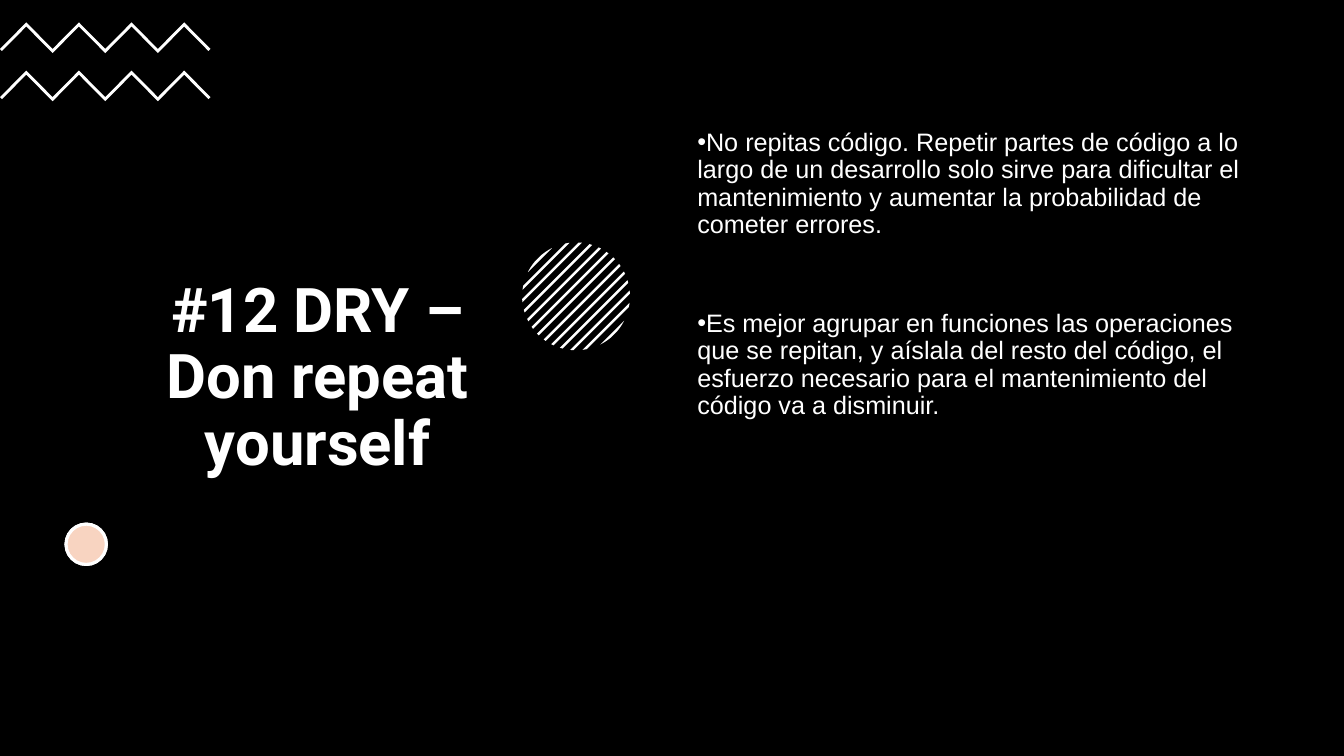
import math

import pptx
import pptx.dml.color
import pptx.enum.shapes
import pptx.enum.text
import pptx.oxml
import pptx.oxml.ns
import pptx.util

Pt = pptx.util.Pt
ALIGN = pptx.enum.text.PP_ALIGN
ANCHOR = pptx.enum.text.MSO_ANCHOR
SHAPE = pptx.enum.shapes.MSO_SHAPE
COLORS = {"background": "000000", "light": "FFFFFF", "accent": "E97132"}
SLIDE_W, SLIDE_H = 960, 540

TITLE = "#12 DRY – Don repeat yourself"
POINTS = [
    "No repitas código. Repetir partes de código a lo largo de un desarrollo "
    "solo sirve para dificultar el mantenimiento y aumentar la probabilidad "
    "de cometer errores.",
    "Es mejor agrupar en funciones las operaciones que se repitan, y aíslala "
    "del resto del código, el esfuerzo necesario para el mantenimiento del "
    "código va a disminuir.",
]


def rgb(name):
    return pptx.dml.color.RGBColor.from_string(COLORS[name])


def xml_child(parent, tag, **attrs):
    el = pptx.oxml.ns.qn(tag)
    child = parent.makeelement(el, attrs)
    parent.append(child)
    return child


def paint(sp, fill, line=None, alpha=None):
    sp.shadow.inherit = False
    sp.fill.solid()
    sp.fill.fore_color.rgb = rgb(fill)
    if alpha is not None:
        clr = sp.fill._xPr.find(".//" + pptx.oxml.ns.qn("a:srgbClr"))
        xml_child(clr, "a:alpha", val=str(alpha * 1000))
    if line:
        sp.line.color.rgb = rgb(line)
        sp.line.width = Pt(2.25)
    else:
        sp.line.fill.background()


def add_preset(shapes, kind, box, fill, **style):
    sp = shapes.add_shape(kind, *map(Pt, box))
    paint(sp, fill, **style)


def add_outline(shapes, points, fill):
    pts = [(Pt(x), Pt(y)) for x, y in points]
    builder = shapes.build_freeform(*pts[0], scale=1.0)
    builder.add_line_segments(pts[1:], close=True)
    paint(builder.convert_to_shape(), fill)


def add_text(shapes, box, paragraphs, *, font, size, bold=False,
             align=ALIGN.LEFT, anchor=ANCHOR.TOP, gap=0, bullet=None):
    tf = shapes.add_textbox(*map(Pt, box)).text_frame
    tf.word_wrap = True
    tf.vertical_anchor = anchor
    for i, text in enumerate(paragraphs):
        p = tf.paragraphs[0] if i == 0 else tf.add_paragraph()
        p.alignment = align
        p.line_spacing = 0.9
        p.space_before = Pt(gap if i else 0)
        if bullet:
            pPr = p._p.get_or_add_pPr()
            pPr.set("marL", "0")
            pPr.set("indent", "0")
            clr = xml_child(pPr, "a:buClr")
            xml_child(clr, "a:srgbClr", val=COLORS["light"])
            xml_child(pPr, "a:buFont", typeface="Arial")
            xml_child(pPr, "a:buChar", char=bullet)
        r = p.add_run()
        r.text = text
        r.font.name = font
        r.font.size = Pt(size)
        r.font.bold = bold
        r.font.color.rgb = rgb("light")


def add_zigzag(shapes, top, step=18.8, height=19, thickness=2.9, segments=8):
    upper = [(i * step, top + height * (i % 2 == 0))
             for i in range(segments + 1)]
    lower = [(x, y + thickness) for x, y in upper[1:-1]]
    # The two ends are cut square to the stroke
    cut = thickness / 2
    end_y = top + height + cut
    lower = [(cut, end_y)] + lower + [(segments * step - cut, end_y)]
    add_outline(shapes, upper + lower[::-1], "light")


def add_striped_circle(shapes, cx, cy, radius=38.5, pitch=6.24, width=1.78,
                       stripes=13, arc_steps=8):
    def on_circle(angle):
        a = math.pi / 4 + angle
        return cx + radius * math.cos(a), cy + radius * math.sin(a)

    for i in range(stripes):
        middle = (i - stripes // 2) * pitch
        start, end = (math.acos((middle + side * width / 2) / radius)
                      for side in (-1, 1))
        arc = [start + (end - start) * k / arc_steps
               for k in range(arc_steps + 1)]
        outline = [on_circle(a) for a in arc]
        outline += [on_circle(-a) for a in reversed(arc)]
        add_outline(shapes, outline, "light")


def main():
    prs = pptx.Presentation()
    prs.slide_width, prs.slide_height = Pt(SLIDE_W), Pt(SLIDE_H)
    shapes = prs.slides.add_slide(prs.slide_layouts[6]).shapes

    # Background and title
    add_preset(shapes, SHAPE.RECTANGLE, (0, 0, SLIDE_W, SLIDE_H), "background")
    add_text(shapes, (87, 55, 280, 431), [TITLE], font="Roboto", size=44,
             bold=True, align=ALIGN.CENTER, anchor=ANCHOR.MIDDLE)

    # Decorations
    zigzags = shapes.add_group_shape().shapes
    for top in (16, 50.4):
        add_zigzag(zigzags, top)
    add_striped_circle(shapes.add_group_shape().shapes, 411.5, 211.7)
    for fill, alpha in (("light", None), ("accent", 30)):
        add_preset(shapes, SHAPE.OVAL, (47.2, 374.4, 28.8, 28.8), fill,
                   line="light", alpha=alpha)

    # Main points
    add_text(shapes, (491, 89.3, 411, 343), POINTS, font="Arial", size=18,
             gap=51.4, bullet="•")

    prs.save("out.pptx")


if __name__ == "__main__":
    main()
